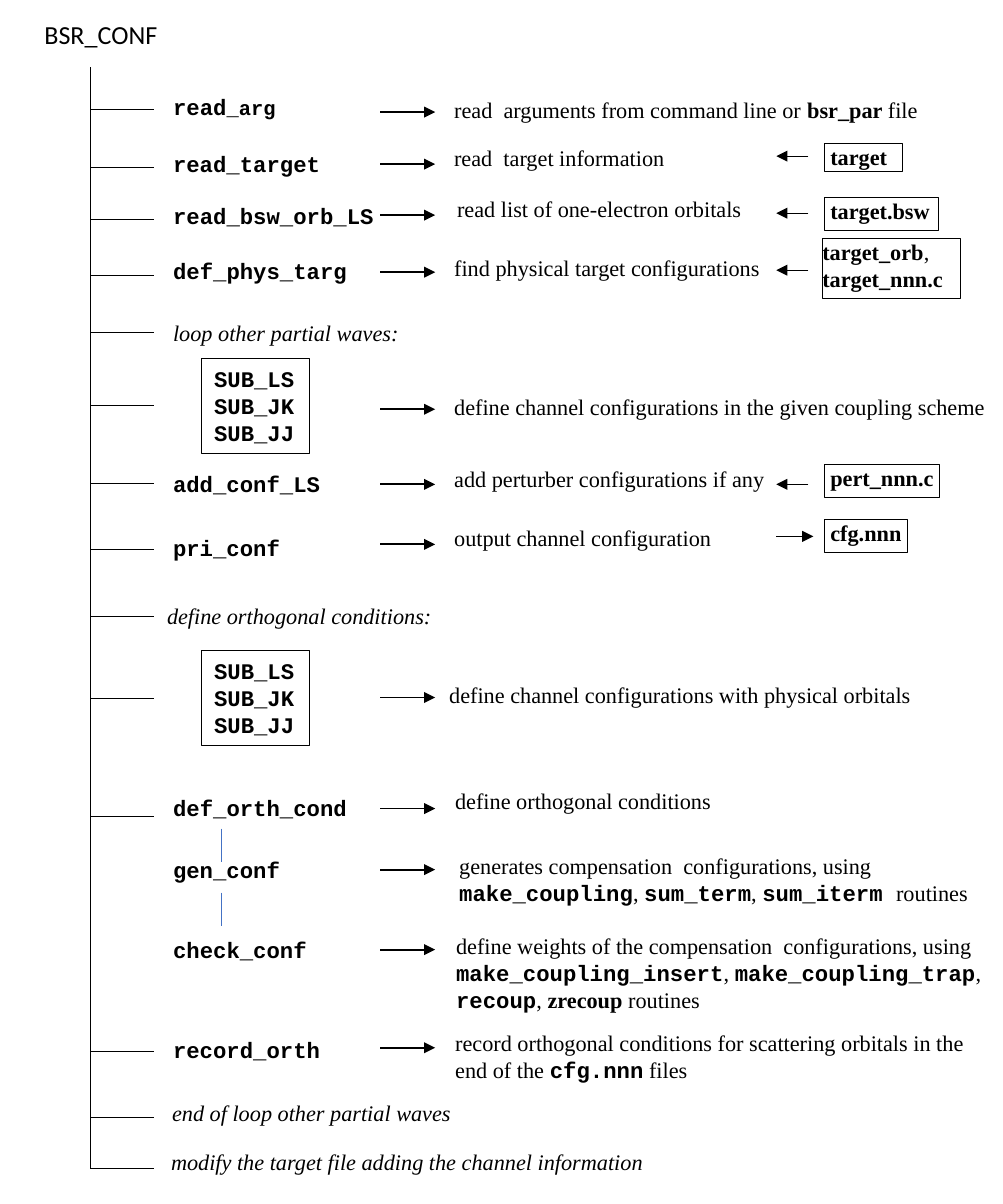
from lxml import etree
from pptx import Presentation
from pptx.dml.color import RGBColor
from pptx.enum.shapes import MSO_CONNECTOR, MSO_SHAPE
from pptx.enum.text import MSO_ANCHOR, PP_ALIGN
from pptx.oxml.ns import qn
from pptx.util import Inches, Pt

STRAIGHT = MSO_CONNECTOR.STRAIGHT
RECTANGLE = MSO_SHAPE.RECTANGLE
TOP = MSO_ANCHOR.TOP
LEFT = PP_ALIGN.LEFT
PX = 6840
BLACK = "000000"
SERIF, MONO = "Times New Roman", "Courier New"
STYLES = {
    "plain": (SERIF, 12, False, False),
    "bold": (SERIF, 12, True, False),
    "italic": (SERIF, 12, False, True),
    "code": (MONO, 12, True, False),
    "small code": (MONO, 11, True, False),
}

deck = Presentation()
deck.slide_width, deck.slide_height = Inches(7.5), Inches(9)
slide = deck.slides.add_slide(deck.slide_layouts[5])


def add_line(x1, y1, x2, y2, width=0.5, color=BLACK, arrow=False):
    line = slide.shapes.add_connector(STRAIGHT, x1 * PX, y1 * PX, x2 * PX, y2 * PX)
    line.line.color.rgb = RGBColor.from_string(color)
    line.line.width = Pt(width)
    if arrow:
        etree.SubElement(line.line._get_or_add_ln(), qn("a:tailEnd"), type="triangle")
    etree.SubElement(line._element.spPr, qn("a:effectLst"))


def add_text(place, paragraphs, insets=(6, 0, 0, 7), wrap=True, fill=None, border=False):
    box = slide.shapes.add_shape(RECTANGLE, *[v * PX for v in place])
    box.shadow.inherit = False
    if fill:
        box.fill.solid()
        box.fill.fore_color.rgb = RGBColor.from_string(fill)
    else:
        box.fill.background()
    if border:
        box.line.color.rgb = RGBColor.from_string(BLACK)
        box.line.width = Pt(0.5)
    else:
        box.line.fill.background()
    frame = box.text_frame
    frame.word_wrap = wrap
    frame.vertical_anchor = TOP
    frame.margin_left, frame.margin_top, frame.margin_right, frame.margin_bottom = [v * PX for v in insets]
    for i, pieces in enumerate(paragraphs):
        paragraph = frame.add_paragraph() if i else frame.paragraphs[0]
        paragraph.alignment = LEFT
        for text, style in pieces:
            run = paragraph.add_run()
            run.text = text
            run.font.name, run.font.size, run.font.bold, run.font.italic = (
                STYLES[style][0], Pt(STYLES[style][1]), STYLES[style][2], STYLES[style][3])
            run.font.color.rgb = RGBColor.from_string(BLACK)


title = slide.shapes.title
title.left, title.top, title.width, title.height = 31 * PX, 12 * PX, 170 * PX, 45 * PX
title.text_frame.text = "BSR_CONF"
title.text_frame.word_wrap = False
title.text_frame.vertical_anchor = TOP
title.text_frame.paragraphs[0].alignment = LEFT
title_font = title.text_frame.paragraphs[0].runs[0].font
title_font.name, title_font.size = "Calibri", Pt(14)
title_font.color.rgb = RGBColor.from_string(BLACK)

descriptions = [
    (448, 96, 481, 6, [[("read  arguments from command line or ", "plain"), ("bsr_par ", "bold"), ("file", "plain")]]),
    (448, 144, 218, 6, [[("read  target information", "plain")]]),
    (451, 195, 298, 6, [[("read list of one-electron orbitals", "plain")]]),
    (448, 254, 317, 6, [[("find physical target configurations", "plain")]]),
    (448, 393, 543, 6, [[("define channel configurations in the given coupling scheme", "plain")]]),
    (448, 465, 543, 6, [[("add perturber configurations if any", "plain")]]),
    (448, 524, 269, 6, [[("output channel configuration", "plain")]]),
    (443, 681, 543, 6, [[("define channel configurations with physical orbitals", "plain")]]),
    (449, 787, 282, 6, [[("define orthogonal conditions", "plain")]]),
    (448, 852, 547, 11, [
        [("generates compensation  configurations, using", "plain")],
        [("make_coupling", "code"), (", ", "plain"), ("sum_term", "code"), (", ", "plain"),
         ("sum_iterm ", "code"), ("routines", "plain")]]),
    (445, 932, 544, 11, [
        [("define weights of the compensation  configurations, using", "plain")],
        [("make_coupling_insert", "code"), (", ", "plain"), ("make_coupling_trap", "code"), (",", "plain")],
        [("recoup", "code"), (", ", "plain"), ("zrecoup ", "bold"), ("routines", "plain")]]),
    (449, 1029, 547, 6, [
        [("record orthogonal conditions for scattering orbitals in the", "plain")],
        [("end of the ", "plain"), ("cfg.nnn", "code"), (" files", "plain")]]),
    (166, 319, 277, 7, [[("loop other partial waves:", "italic")]]),
    (160, 602, 452, 7, [[("define orthogonal conditions:", "italic")]]),
    (166, 1098, 409, 6, [[("end of loop other partial waves", "italic")]]),
    (160, 1147, 604, 11, [[("modify the target file adding the channel information", "italic")]]),
]
for x, y, width, inset, paragraphs in descriptions:
    height = 6 + 27 * len(paragraphs)
    add_text((x, y, width, height), paragraphs, (inset, 0, 0, 7), fill="FFFFFF")

routines = [
    (86, 131, [("read", "code"), ("_arg", "small code")]),
    (143, 176, [("read_target", "code")]),
    (195, 231, [("read_bsw_orb_LS", "code")]),
    (250, 203, [("def_phys_targ", "code")]),
    (463, 176, [("add_conf_LS", "code")]),
    (527, 136, [("pri_conf", "code")]),
    (787, 203, [("def_orth_cond", "code")]),
    (849, 136, [("gen_conf", "code")]),
    (929, 163, [("check_conf", "code")]),
    (1029, 176, [("record_orth", "code")]),
]
for y, width, pieces in routines:
    add_text((160, y, width, 40), [pieces], (13, 7, 13, 7), wrap=False)

couplings = [[(name, "code")] for name in ("SUB_LS", "SUB_JK", "SUB_JJ")]
for y in (358, 650):
    add_text((201, y, 108, 95), couplings, (13, 7, 13, 7), wrap=False, border=True)

files = [
    (824, 143, 78, 28, 6, [("target", "bold")]),
    (824, 197, 114, 33, 6, [("target.bsw", "bold")]),
    (822, 238, 138, 60, 0, [("target_orb", "bold"), (", ", "plain"), ("target_nnn.c", "bold")]),
    (824, 464, 115, 33, 6, [("pert_nnn.c", "bold")]),
    (824, 519, 83, 33, 6, [("cfg.nnn", "bold")]),
]
for x, y, width, height, inset, pieces in files:
    add_text((x, y, width, height), [pieces], (inset, 0, 0, 0), fill="FFFFFF", border=True)

add_line(90, 67, 90, 1168)
for y in (109, 167, 219, 275, 332, 405, 483, 549, 616, 698, 816, 1051, 1117, 1168):
    add_line(90, y, 154, y)
for y in (112, 164, 215, 272, 409, 484, 544, 697, 808, 869, 949, 1047):
    add_line(380, y, 435, y, width=1, arrow=True)
for y in (156, 213, 270, 484):
    add_line(808, y, 776, y, arrow=True)
add_line(776, 536, 813, 536, arrow=True)
for y in (828, 892):
    add_line(221, y, 221, y + 33, color="4472C4")

deck.save("out.pptx")
